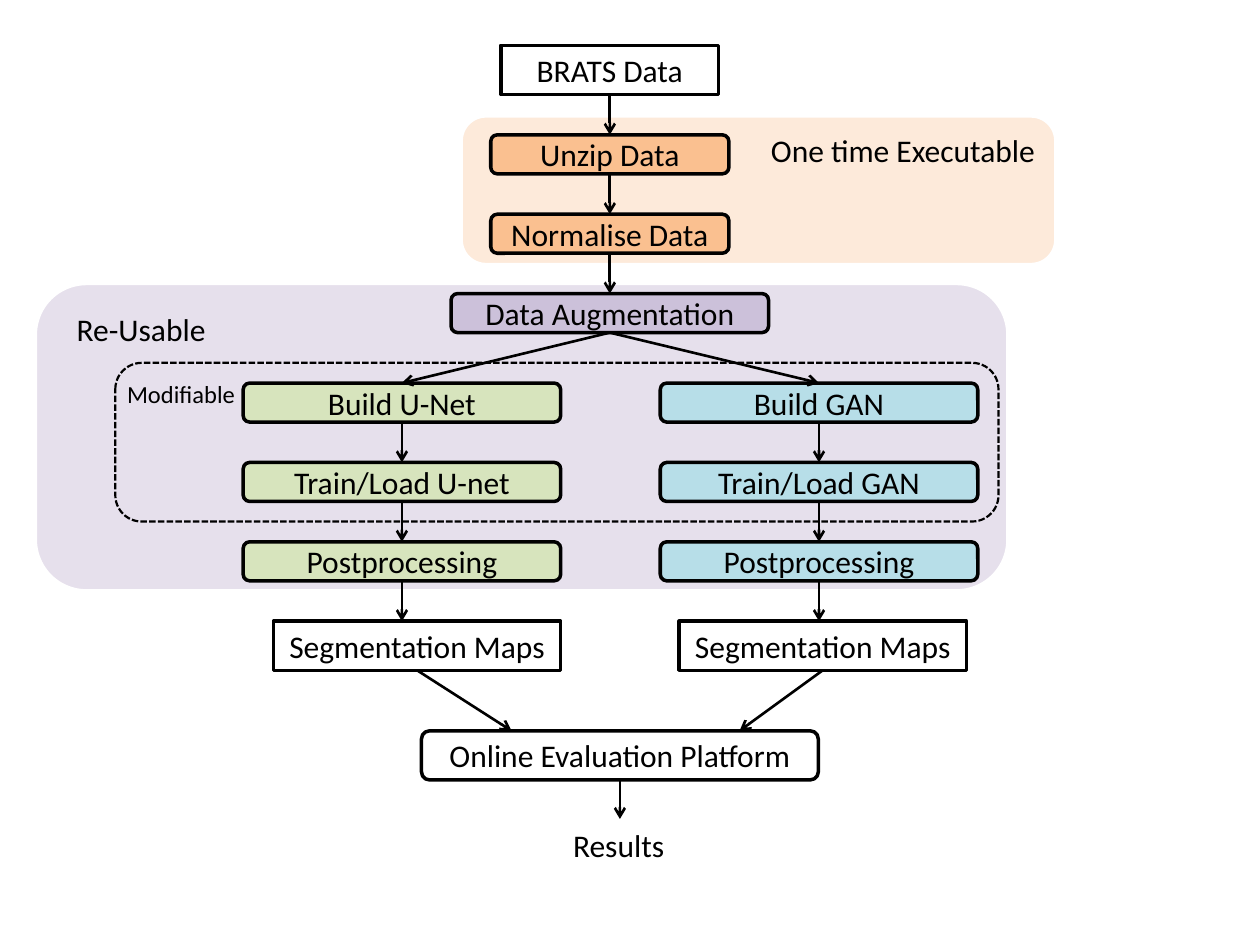
from lxml.etree import SubElement
from pptx import Presentation
from pptx.dml.color import RGBColor
from pptx.enum.dml import MSO_LINE
from pptx.enum.shapes import MSO_CONNECTOR, MSO_SHAPE
from pptx.enum.text import MSO_ANCHOR, PP_ALIGN
from pptx.oxml.ns import qn
from pptx.util import Inches, Pt

RECT, ROUND = MSO_SHAPE.RECTANGLE, MSO_SHAPE.ROUNDED_RECTANGLE
ROW = 0.63            # pitch of the step rows
STEP, TALL = 0.31, 0.39  # box heights
TOP = 1.07            # first row of preparation steps
BRANCH_TOP = 3.04     # first row of the two branches
MAPS_TOP = BRANCH_TOP + 3 * ROW
PLATFORM_TOP = 5.8
MIDDLE, PLATFORM_X = 4.84, 4.92

presentation = Presentation()
presentation.slide_width, presentation.slide_height = Inches(10), Inches(7.5)
slide = presentation.slides.add_slide(presentation.slide_layouts[6])


def color(value):
    return RGBColor.from_string(value)


def add_box(kind, center, top, width, height, fill=None, text="", line="000000", weight=2):
    """Add a box centred on a column; without a fill it is see-through."""
    shape = slide.shapes.add_shape(kind, Inches(center - width / 2), Inches(top),
                                   Inches(width), Inches(height))
    shape.shadow.inherit = False
    if fill:
        shape.fill.solid()
        shape.fill.fore_color.rgb = color(fill)
    else:
        shape.fill.background()
    shape.line.color.rgb = color(line)
    shape.line.width = Pt(weight)
    if text:
        frame = shape.text_frame
        frame.vertical_anchor = MSO_ANCHOR.MIDDLE
        paragraph = frame.paragraphs[0]
        paragraph.text = text
        paragraph.alignment = PP_ALIGN.CENTER
        paragraph.font.size, paragraph.font.name = Pt(18), "Calibri"
        paragraph.font.color.rgb = color("000000")
    return shape


# Background panels
add_box(ROUND, 4.14, 2.25, 7.72, 2.44, "E6E0EC", line="FFFFFF")
add_box(ROUND, 6.02, 0.92, 4.72, 1.18, "FDEADA", line="FFFFFF")

# Preparation steps down the middle
add_box(RECT, MIDDLE, 0.36, 1.73, TALL, "FFFFFF", "BRATS Data")
preparation = [("Unzip Data", 1.89, "FAC090"),
               ("Normalise Data", 1.89, "FAC090"),
               ("Data Augmentation", 2.52, "CCC1DA")]
arrows = []
for row, (text, width, fill) in enumerate(preparation):
    top = TOP + row * ROW
    add_box(ROUND, MIDDLE, top, width, STEP, fill, text)
    arrows.append((MIDDLE, top - STEP, MIDDLE, top))

# Two branches, each ending in segmentation maps and then the platform
augmentation_bottom = TOP + 2 * ROW + STEP
branches = [
    (3.19, "D7E4BD", ["Build U-Net", "Train/Load U-net", "Postprocessing"], 3.31, 4.06),
    (6.5, "B7DEE8", ["Build GAN", "Train/Load GAN", "Postprocessing"], 6.53, 5.87),
]
for center, fill, steps, maps_x, platform_entry in branches:
    arrows.append((MIDDLE, augmentation_bottom, center, BRANCH_TOP))
    for row, text in enumerate(steps):
        top = BRANCH_TOP + row * ROW
        add_box(ROUND, center, top, 2.52, STEP, fill, text)
        arrows.append((center, top + STEP, center, top + ROW))
    add_box(RECT, maps_x, MAPS_TOP, 2.28, TALL, "FFFFFF", "Segmentation Maps")
    arrows.append((maps_x, MAPS_TOP + TALL, platform_entry, PLATFORM_TOP))

add_box(ROUND, PLATFORM_X, PLATFORM_TOP, 3.15, TALL, "FFFFFF", "Online Evaluation Platform")
platform_bottom = PLATFORM_TOP + TALL
arrows.append((PLATFORM_X, platform_bottom, PLATFORM_X, platform_bottom + STEP))

for arrow in arrows:
    connector = slide.shapes.add_connector(MSO_CONNECTOR.STRAIGHT, *map(Inches, arrow))
    connector.line.color.rgb = color("000000")
    connector.line.width = Pt(1.5)
    SubElement(connector.line._get_or_add_ln(), qn("a:tailEnd"), type="arrow")
    SubElement(connector._element.spPr, qn("a:effectLst"))

modifiable = add_box(ROUND, 4.42, 2.88, 7.01, 1.26, weight=1.25)
modifiable.line.dash_style = MSO_LINE.SQUARE_DOT

# Free labels
labels = [("One time Executable", 6.02, 0.99, 2.91, 0.4, 18),
          ("Re-Usable", 0.51, 2.41, 1.81, 0.4, 18),
          ("Modifiable", 0.91, 2.96, 1.18, 0.34, 14),
          ("Results", 4.45, 6.51, 1.57, 0.4, 18)]
for text, left, top, width, height, size in labels:
    label = slide.shapes.add_textbox(*map(Inches, (left, top, width, height)))
    label.text_frame.word_wrap = True
    paragraph = label.text_frame.paragraphs[0]
    paragraph.text = text
    paragraph.font.size, paragraph.font.name = Pt(size), "Calibri"
    paragraph.font.color.rgb = color("000000")

presentation.save("out.pptx")
